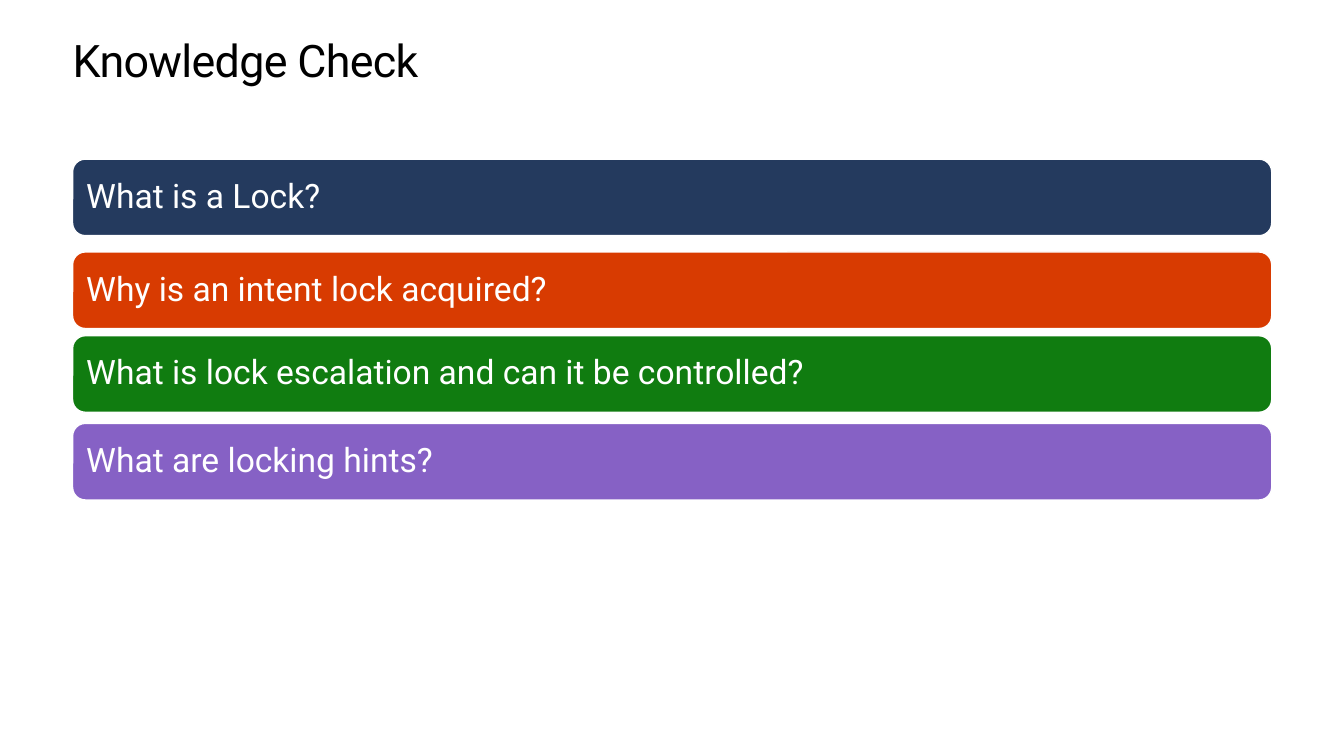
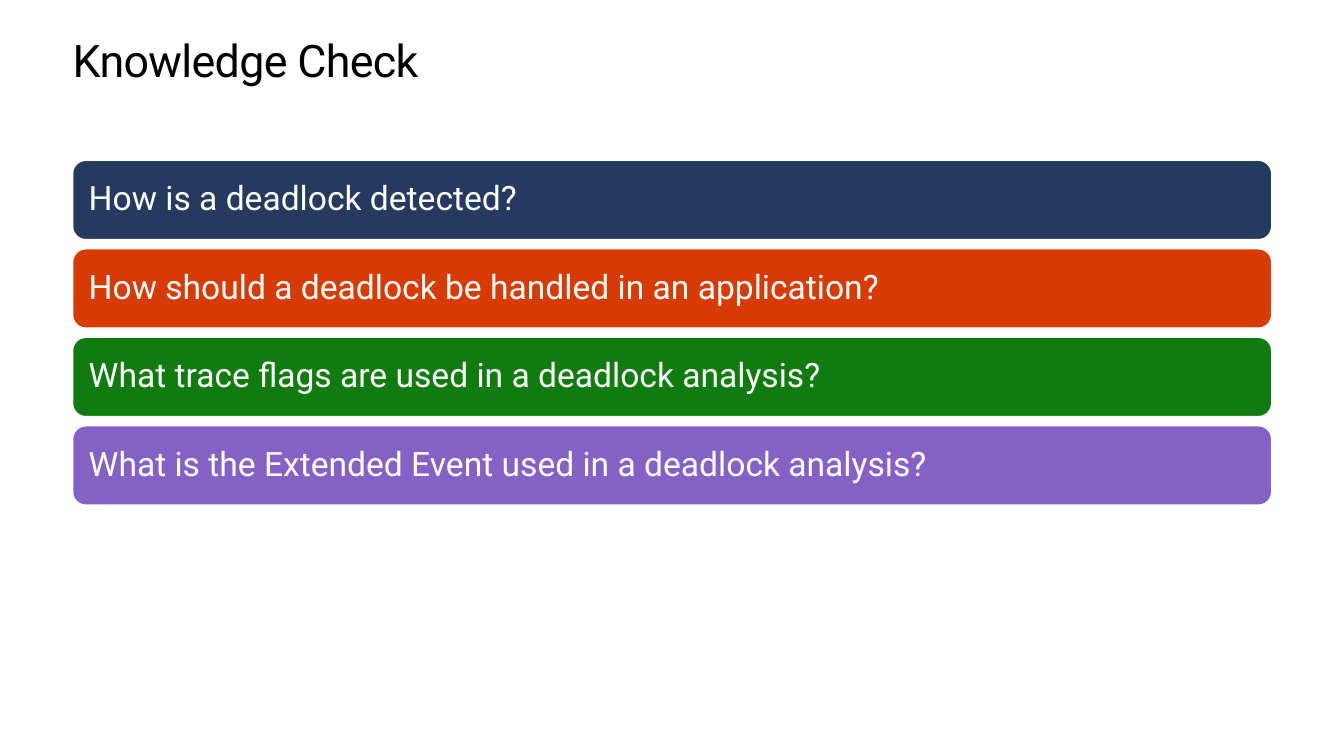
from pptx import Presentation
from pptx import util as u
from pptx.dml.color import RGBColor
from pptx.enum import shapes, text

COLORS = {
    "title": "000000",
    "white": "FFFFFF",
    "navy": "243A5E",
    "orange": "D83B01",
    "green": "107C10",
    "purple": "8661C5",
}
BAR_FILLS = ["navy", "orange", "green", "purple"]
FONT = "Roboto"
LEFT, WIDTH = u.Cm(1.83), u.Cm(30.22)

SLIDES = [
    {
        "tops": [4.01, 6.35, 8.46, 10.67],
        "height": 1.93,
        "inset": 0.25,
        "questions": [
            "What is a Lock?",
            "Why is an intent lock acquired?",
            "What is lock escalation and can it be controlled?",
            "What are locking hints?",
        ],
    },
    {
        "tops": [4.04 + 2.23 * i for i in range(4)],
        "height": 2,
        "inset": 0.31,
        "questions": [
            "How is a deadlock detected?",
            "How should a deadlock be handled in an application?",
            "What trace flags are used in a deadlock analysis?",
            "What is the Extended Event used in a deadlock analysis?",
        ],
    },
]


def rgb(name):
    return RGBColor.from_string(COLORS[name])


def style_text(tf, size, color, anchor, inset, spacing):
    tf.word_wrap = True
    tf.vertical_anchor = anchor
    tf.margin_left = tf.margin_right = tf.margin_top = tf.margin_bottom = u.Cm(inset)
    p = tf.paragraphs[0]
    p.alignment = text.PP_ALIGN.LEFT
    p.line_spacing = spacing
    r = p.runs[0]
    r.font.name = FONT
    r.font.size = u.Pt(size)
    r.font.color.rgb = rgb(color)
    return r


prs = Presentation()
prs.slide_width, prs.slide_height = u.Cm(33.87), u.Cm(19.05)
layout = prs.slide_layouts.get_by_name("Title Only")
title = layout.placeholders[0]
title.left, title.top, title.width, title.height = LEFT, u.Cm(0.89), WIDTH, u.Cm(1.27)

for content in SLIDES:
    s = prs.slides.add_slide(layout)
    tf = s.shapes.title.text_frame
    tf.text = "Knowledge Check"
    r = style_text(tf, 32, "title", text.MSO_ANCHOR.TOP, 0, u.Pt(36.2))
    r.font._element.set("spc", "-50")

    for top, question, fill in zip(content["tops"], content["questions"], BAR_FILLS):
        sp = s.shapes.add_shape(
            shapes.MSO_SHAPE.ROUNDED_RECTANGLE,
            LEFT, u.Cm(top), WIDTH, u.Cm(content["height"]),
        )
        sp.shadow.inherit = False
        sp.fill.solid()
        sp.fill.fore_color.rgb = rgb(fill)
        sp.line.color.rgb = rgb("white")
        sp.line.width = u.Pt(1)
        tf = sp.text_frame
        tf.text = question
        style_text(tf, 24, "white", text.MSO_ANCHOR.MIDDLE, content["inset"], 0.9)

prs.save("out.pptx")
